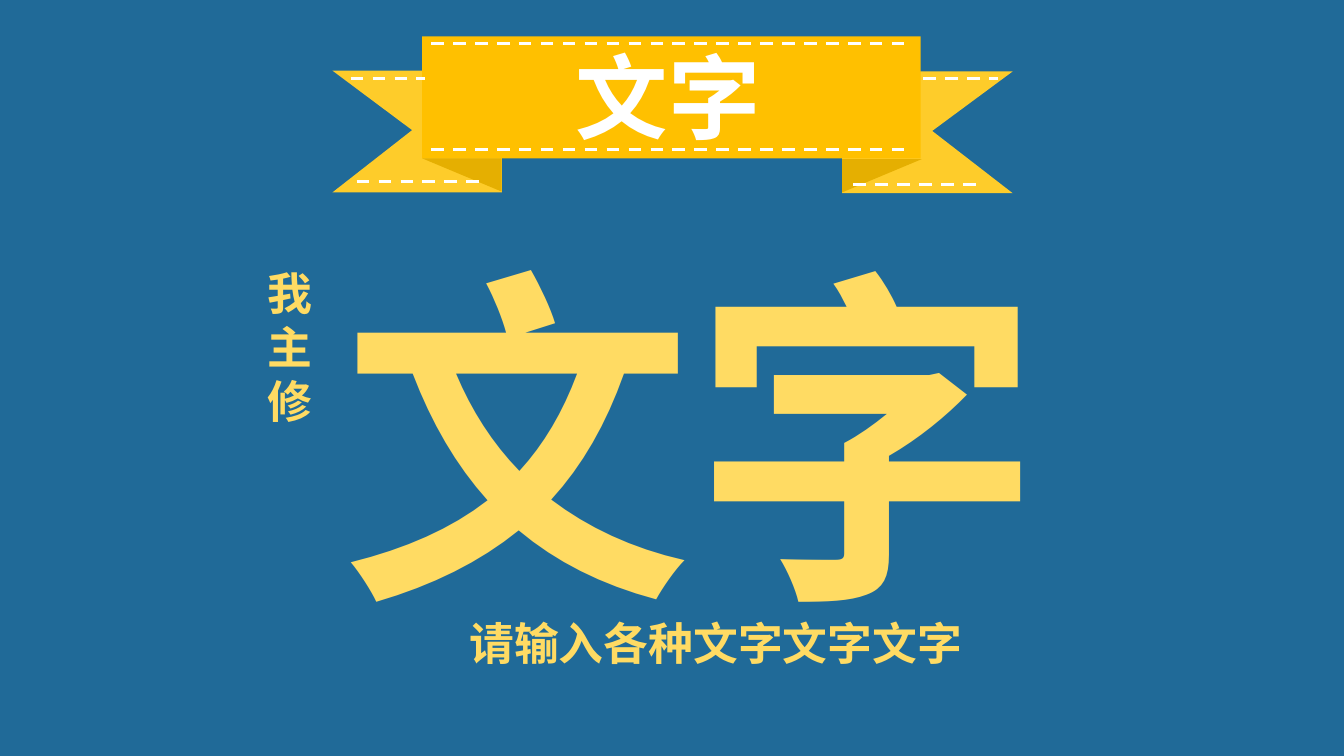
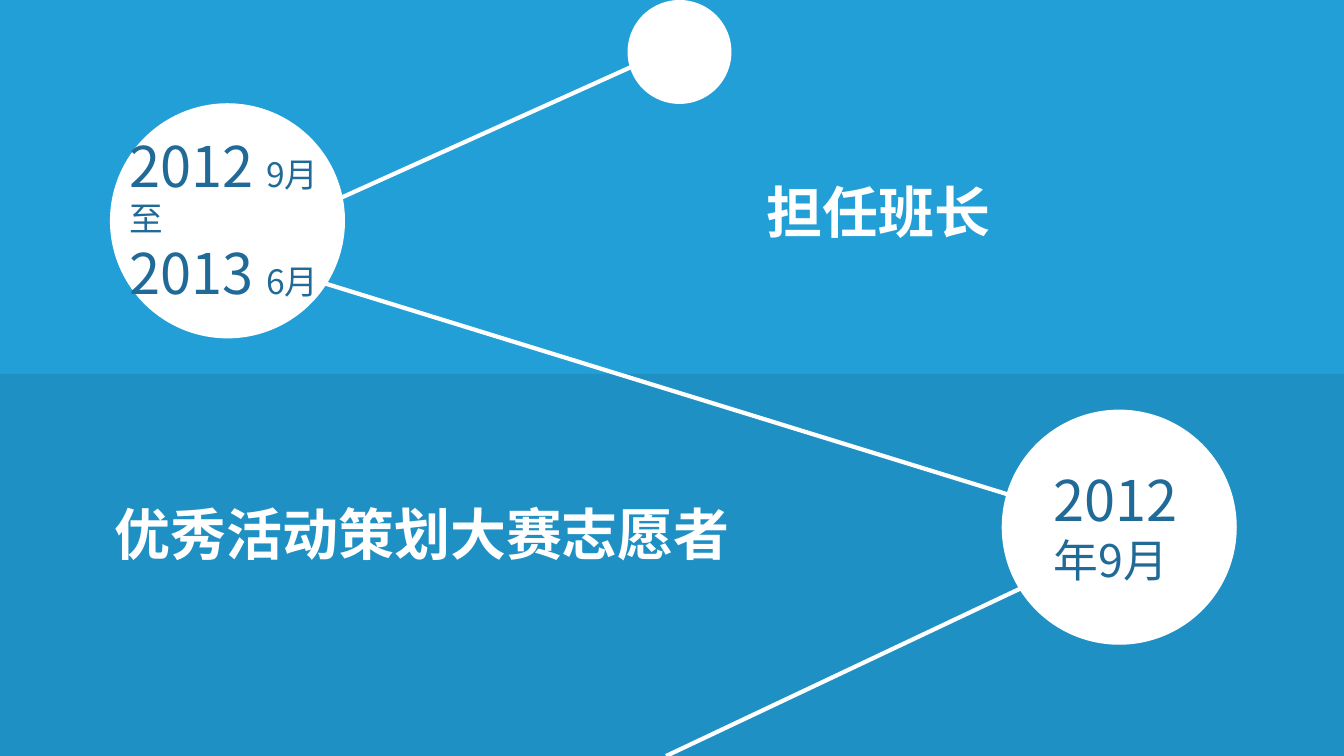
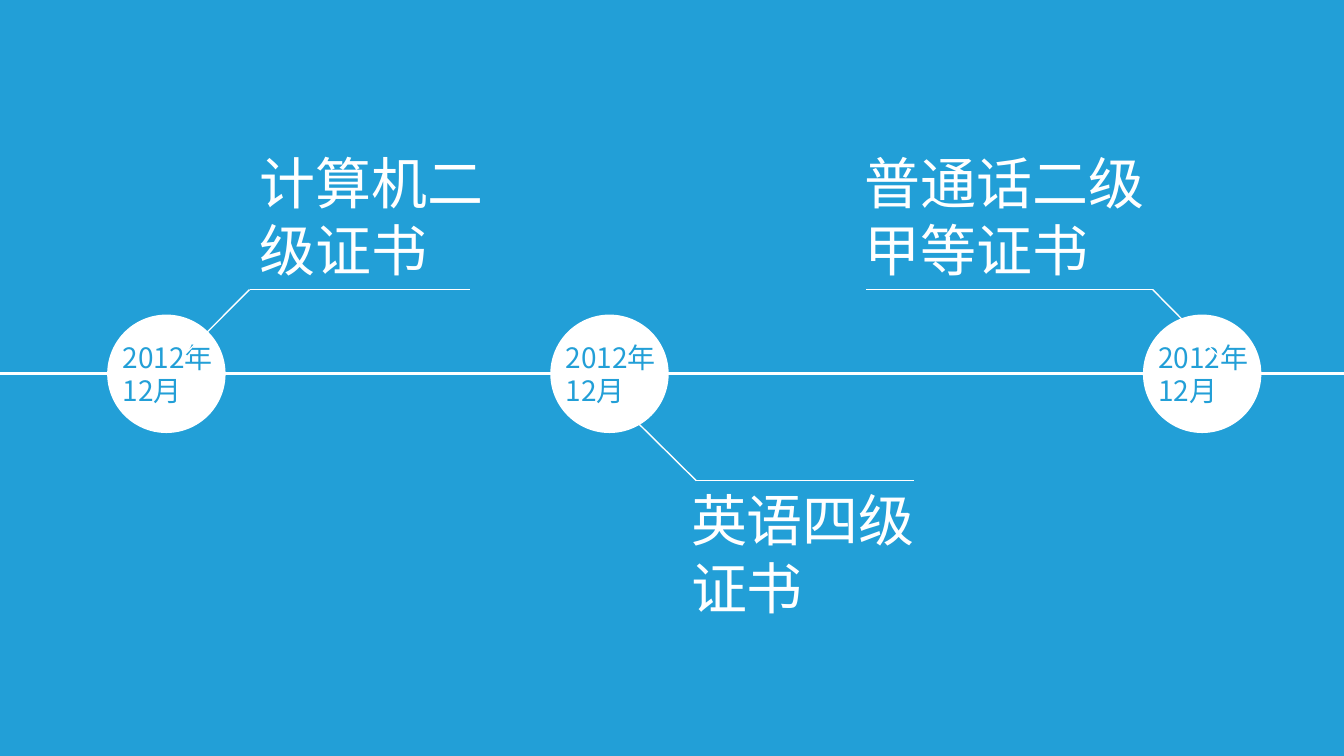
from dataclasses import dataclass

from lxml import etree
from pptx import Presentation
from pptx.dml.color import RGBColor
from pptx.enum.dml import MSO_LINE
from pptx.enum.shapes import MSO_CONNECTOR, MSO_SHAPE
from pptx.enum.text import MSO_AUTO_SIZE
from pptx.oxml.ns import qn
from pptx.presentation import Presentation as Deck
from pptx.shapes.autoshape import Shape
from pptx.shapes.connector import Connector
from pptx.shapes.shapetree import GroupShapes, SlideShapes
from pptx.slide import Slide
from pptx.util import Cm, Pt

RECTANGLE = MSO_SHAPE.RECTANGLE
RIGHT_TRIANGLE = MSO_SHAPE.RIGHT_TRIANGLE
OVAL = MSO_SHAPE.OVAL
STRAIGHT = MSO_CONNECTOR.STRAIGHT
DASH = MSO_LINE.DASH
GROW = MSO_AUTO_SIZE.SHAPE_TO_FIT_TEXT

FONT = "Noto Sans CJK SC"
WHITE = RGBColor(0xFF, 0xFF, 0xFF)
NAVY = RGBColor(0x20, 0x6A, 0x98)
SKY = RGBColor(0x22, 0x9F, 0xD7)
DEEP_SKY = RGBColor(0x1F, 0x90, 0xC3)
GOLD = RGBColor(0xFF, 0xC0, 0x00)
TAIL_GOLD = RGBColor(0xFE, 0xCC, 0x2A)
FOLD_GOLD = RGBColor(0xE5, 0xAF, 0x01)
PALE_GOLD = RGBColor(0xFF, 0xDB, 0x63)

SLIDE_WIDTH = 33.88
SLIDE_HEIGHT = 19.05
HORIZON = 9.42

Shapes = SlideShapes | GroupShapes
Point = tuple[float, float]


@dataclass(frozen=True)
class Area:
    left: float
    top: float
    width: float
    height: float

    def lengths(self) -> tuple[Cm, Cm, Cm, Cm]:
        return Cm(self.left), Cm(self.top), Cm(self.width), Cm(self.height)


@dataclass(frozen=True)
class Words:
    text: str
    size: float


@dataclass(frozen=True)
class Label:
    area: Area
    paragraphs: list[list[Words]]
    colour: RGBColor
    bold: bool = False


@dataclass(frozen=True)
class Tail:
    outer: float
    notch: float
    inner: float
    top: float


@dataclass(frozen=True)
class Fold:
    left: float
    top: float
    flips: tuple[str, ...]


@dataclass(frozen=True)
class Stitch:
    start: float
    end: float
    height: float


@dataclass(frozen=True)
class Milestone:
    circle_left: float
    leader: tuple[Point, Point, Point]
    title: str
    title_area: Area


def paint(shape: Shape, fill: RGBColor, outlined: bool = False) -> None:
    shape.shadow.inherit = False
    shape.fill.solid()
    shape.fill.fore_color.rgb = fill
    if outlined:
        shape.line.color.rgb = fill
        shape.line.width = Pt(1)
    else:
        shape.line.fill.background()


def draw_shape(shapes: Shapes, kind: MSO_SHAPE, area: Area, fill: RGBColor,
               outlined: bool = False) -> Shape:
    shape = shapes.add_shape(kind, *area.lengths())
    paint(shape, fill, outlined)
    return shape


def draw_circle(shapes: Shapes, left: float, top: float, diameter: float,
                outlined: bool = True) -> None:
    draw_shape(shapes, OVAL, Area(left, top, diameter, diameter), WHITE, outlined)


def draw_line(shapes: Shapes, start: Point, end: Point, weight: float) -> Connector:
    line = shapes.add_connector(STRAIGHT, Cm(start[0]), Cm(start[1]), Cm(end[0]), Cm(end[1]))
    line.line.color.rgb = WHITE
    line.line.width = Pt(weight)
    etree.SubElement(line._element.spPr, qn("a:effectLst"))
    return line


def draw_label(shapes: Shapes, label: Label) -> None:
    box = shapes.add_textbox(*label.area.lengths())
    frame = box.text_frame
    frame.word_wrap = True
    frame.auto_size = GROW
    for index, pieces in enumerate(label.paragraphs):
        para = frame.add_paragraph() if index else frame.paragraphs[0]
        for words in pieces:
            span = para.add_run()
            span.text = words.text
            span.font.size = Pt(words.size)
            span.font.bold = label.bold
            span.font.color.rgb = label.colour
            span.font.name = FONT
            etree.SubElement(span._r.get_or_add_rPr(), qn("a:ea"), typeface=FONT)


def add_page(deck: Deck, background: RGBColor) -> Slide:
    page = deck.slides.add_slide(deck.slide_layouts[6])
    page.background.fill.solid()
    page.background.fill.fore_color.rgb = background
    return page


def draw_tail(shapes: Shapes, tail: Tail) -> None:
    middle, bottom = tail.top + 1.5, tail.top + 3.07
    outline = shapes.build_freeform(Cm(tail.inner), Cm(tail.top))
    corners = [(tail.outer, tail.top), (tail.notch, middle),
               (tail.outer, bottom), (tail.inner, bottom)]
    outline.add_line_segments([(Cm(x), Cm(y)) for x, y in corners], close=True)
    paint(outline.convert_to_shape(), TAIL_GOLD)


def draw_ribbon(shapes: Shapes) -> None:
    for tail in (Tail(8.38, 10.39, 12.65, 1.78), Tail(25.53, 23.5, 21.23, 1.8)):
        draw_tail(shapes, tail)
    draw_shape(shapes, RECTANGLE, Area(10.64, 0.92, 12.57, 3.07), GOLD)
    for fold in (Fold(21.23, 4.01, ("flipV",)), Fold(10.64, 3.99, ("flipH", "flipV"))):
        triangle = draw_shape(shapes, RIGHT_TRIANGLE,
                              Area(fold.left, fold.top, 2.01, 0.84), FOLD_GOLD)
        for flip in fold.flips:
            triangle._element.spPr.find(qn("a:xfrm")).set(flip, "1")
    stitches = [
        Stitch(10.87, 23.01, 3.76),
        Stitch(10.87, 23.01, 1.09),
        Stitch(8.84, 10.72, 1.98),
        Stitch(8.99, 12.27, 4.57),
        Stitch(21.51, 24.77, 4.65),
        Stitch(23.27, 25.15, 1.98),
    ]
    for stitch in stitches:
        line = draw_line(shapes, (stitch.start, stitch.height), (stitch.end, stitch.height), 2.25)
        line.line.dash_style = DASH


def build_major_page(deck: Deck) -> None:
    shapes = add_page(deck, NAVY).shapes
    draw_ribbon(shapes.add_group_shape().shapes)
    labels = [
        Label(Area(14.27, 0.89, 5.36, 3.05), [[Words("文字", 66)]], WHITE, True),
        Label(Area(8.38, 5.46, 18.64, 10.85), [[Words("文字", 250)]], PALE_GOLD, True),
        Label(Area(6.5, 6.58, 1.91, 4.32), [[Words(sign, 32)] for sign in "我主修"],
              PALE_GOLD, True),
        Label(Area(11.58, 15.39, 13.56, 1.63), [[Words("请输入各种文字文字文字", 32)]],
              PALE_GOLD, True),
    ]
    for label in labels:
        draw_label(shapes, label)


def build_experience_page(deck: Deck) -> None:
    shapes = add_page(deck, WHITE).shapes
    draw_shape(shapes, RECTANGLE, Area(0, 0, SLIDE_WIDTH, HORIZON), SKY)
    draw_shape(shapes, RECTANGLE,
               Area(0, HORIZON, SLIDE_WIDTH, SLIDE_HEIGHT - HORIZON), DEEP_SKY)
    draw_circle(shapes, 15.82, 0, 2.62, outlined=False)
    for left, top in ((2.79, 2.62), (25.27, 10.34)):
        draw_circle(shapes, left, top, 5.89)
    links = [
        ((16.33, 1.5), (8.05, 5.23)),
        ((7.7, 6.99), (26.19, 12.7)),
        ((26.57, 14.43), (16.79, SLIDE_HEIGHT)),
    ]
    for start, end in links:
        draw_line(shapes, start, end, 3)
    period = [
        [Words("2012 ", 40), Words("9月", 24)],
        [Words("至", 24)],
        [Words("2013 ", 40), Words("6月", 24)],
    ]
    labels = [
        Label(Area(3.02, 3.18, 5.94, 4.67), period, NAVY),
        Label(Area(19.08, 4.34, 7.49, 1.96), [[Words("担任班长", 40)]], WHITE, True),
        Label(Area(26.31, 11.61, 4.52, 3.3), [[Words("2012", 40), Words("年9月", 32)]], NAVY),
        Label(Area(2.64, 12.47, 16.13, 1.96), [[Words("优秀活动策划大赛志愿者", 40)]],
              WHITE, True),
    ]
    for label in labels:
        draw_label(shapes, label)


def build_certificate_page(deck: Deck) -> None:
    shapes = add_page(deck, SKY).shapes
    diameter = 2.95
    milestones = [
        Milestone(2.72, ((4.62, 8.97), (6.29, 7.3), (11.86, 7.3)),
                  "计算机二级证书", Area(6.3, 3.61, 6.27, 3.66)),
        Milestone(13.89, ((15.88, 10.46), (17.55, 12.11), (23.04, 12.11)),
                  "英语四级证书", Area(17.17, 12.12, 6.48, 3.66)),
        Milestone(28.83, ((30.71, 8.97), (29.06, 7.3), (21.84, 7.3)),
                  "普通话二级甲等证书", Area(21.54, 3.61, 7.98, 3.66)),
    ]
    draw_line(shapes, (0, HORIZON), (SLIDE_WIDTH, HORIZON), 2.25)
    for milestone in milestones:
        draw_circle(shapes, milestone.circle_left, HORIZON - diameter / 2, diameter)
        date_area = Area(milestone.circle_left + 0.12, 8.45, diameter, 2.79)
        draw_label(shapes, Label(date_area, [[Words("2012年", 20)], [Words("12月", 20)]], SKY))
        leader = shapes.add_group_shape().shapes
        start, elbow, end = milestone.leader
        draw_line(leader, start, elbow, 1)
        draw_line(leader, elbow, end, 1)
        draw_label(shapes, Label(milestone.title_area, [[Words(milestone.title, 40)]], WHITE))


def main() -> None:
    deck = Presentation()
    deck.slide_width = Cm(SLIDE_WIDTH)
    deck.slide_height = Cm(SLIDE_HEIGHT)
    build_major_page(deck)
    build_experience_page(deck)
    build_certificate_page(deck)
    deck.save("out.pptx")


if __name__ == "__main__":
    main()
